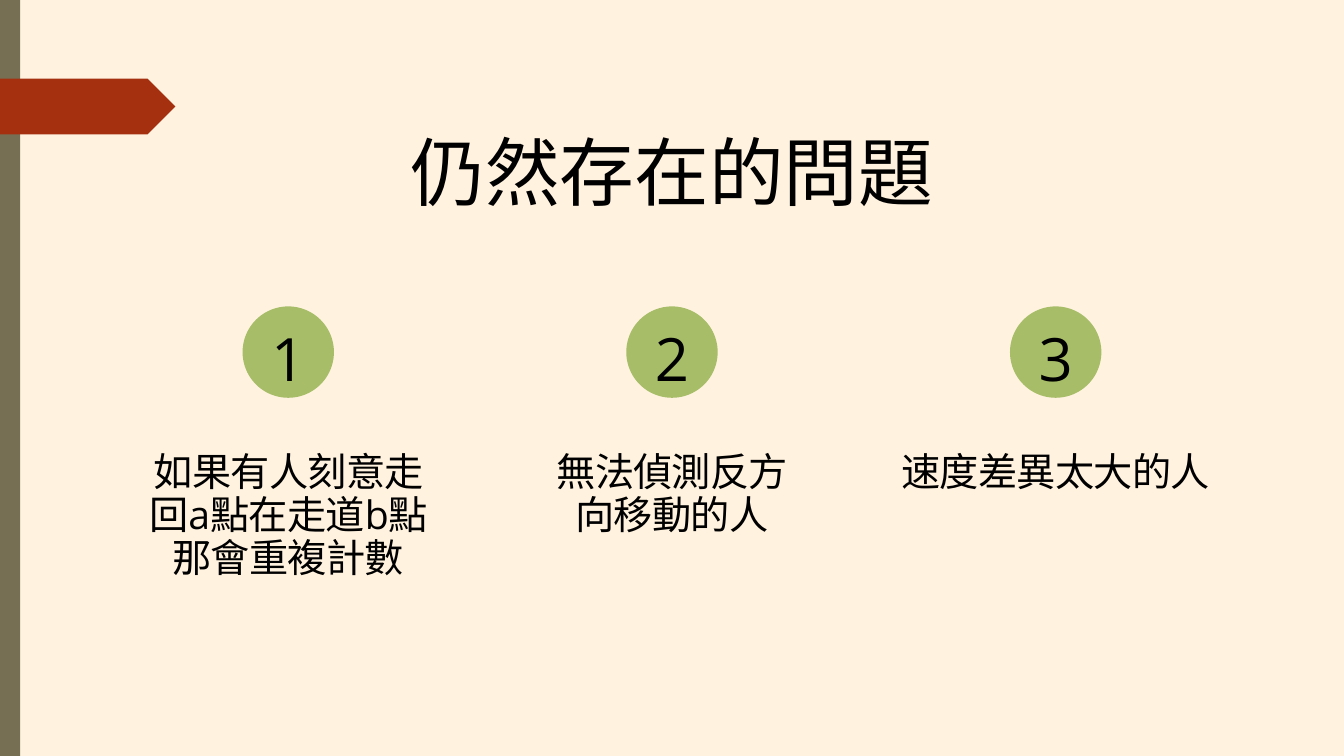
from lxml import etree
from pptx import Presentation
from pptx.dml.color import RGBColor
from pptx.enum.shapes import MSO_SHAPE
from pptx.enum.text import MSO_ANCHOR, MSO_AUTO_SIZE, PP_ALIGN
from pptx.oxml.ns import qn
from pptx.util import Inches, Pt

RECTANGLE, PENTAGON, OVAL = MSO_SHAPE.RECTANGLE, MSO_SHAPE.PENTAGON, MSO_SHAPE.OVAL
TOP, CENTER = MSO_ANCHOR.TOP, PP_ALIGN.CENTER
GROW = MSO_AUTO_SIZE.SHAPE_TO_FIT_TEXT

HEADING = "仍然存在的問題"
PROBLEMS = [
    ("如果有人刻意走回a點在走道b點 那會重複計數", "Open Sans", 4.47, 1.92),
    ("無法偵測反方向移動的人", "Calibri", 4, 1.29),
    ("速度差異太大的人", "Calibri", 4.64, 0.65),
]
DECORATIONS = [
    (RECTANGLE, (0, 0, 0.3, 11.25), "766F54"),
    (PENTAGON, (0, 1.17, 2.61, 0.83), "A53010"),
]
CREAM, GREEN, BLACK = "FFF3E0", "A7BD68", "000000"

SLIDE_WIDTH, SLIDE_HEIGHT = 20, 11.25
COLUMN_PITCH = 5.71
CIRCLE_SIZE, CIRCLE_TOP = 1.36, 4.56
NUMBER_TOP, NUMBER_HEIGHT = 4.46, 1.31
PROBLEM_TOP = 6.71


def paint(color_format, color):
    color_format.rgb = RGBColor.from_string(color)


def place(part, box):
    part.left, part.top, part.width, part.height = map(Inches, box)


def add_filled(slide, preset, box, color):
    figure = slide.shapes.add_shape(preset, *map(Inches, box))
    figure.shadow.inherit = False
    figure.fill.solid()
    paint(figure.fill.fore_color, color)
    figure.line.fill.background()


def write(part, words, font_name, size, leading, tracking=0):
    frame = part.text_frame
    frame.text = words
    frame.word_wrap = True
    frame.auto_size = GROW
    frame.vertical_anchor = TOP
    frame.margin_left = frame.margin_right = frame.margin_top = frame.margin_bottom = 0
    paragraph = frame.paragraphs[0]
    paragraph.alignment = CENTER
    paragraph.line_spacing = Pt(leading)
    paragraph.space_before = Pt(0)
    run = paragraph.runs[0]
    run.font.size = Pt(size)
    run.font.name = font_name
    paint(run.font.color, BLACK)
    properties = run.font._element
    properties.set("spc", str(round(tracking * 100)))
    etree.SubElement(properties, qn("a:ea")).set("typeface", font_name)


def add_text(slide, box, *style):
    write(slide.shapes.add_textbox(*map(Inches, box)), *style)


def main():
    deck = Presentation()
    deck.slide_width, deck.slide_height = Inches(SLIDE_WIDTH), Inches(SLIDE_HEIGHT)
    slide = deck.slides.add_slide(deck.slide_layouts[5])
    slide.background.fill.solid()
    paint(slide.background.fill.fore_color, CREAM)

    for preset, box, color in DECORATIONS:
        add_filled(slide, preset, box, color)

    title = slide.shapes.title
    place(title, (4.06, 1.87, 11.88, 1.33))
    write(title, HEADING, "Calibri", 80, 96)

    for index, (problem, font_name, width, height) in enumerate(PROBLEMS):
        center = SLIDE_WIDTH / 2 + (index - 1) * COLUMN_PITCH
        circle_left = center - CIRCLE_SIZE / 2
        add_filled(slide, OVAL, (circle_left, CIRCLE_TOP, CIRCLE_SIZE, CIRCLE_SIZE), GREEN)
        add_text(slide, (circle_left, NUMBER_TOP, CIRCLE_SIZE, NUMBER_HEIGHT),
                 str(index + 1), "Open Sans", 64, 100.5, -1.6)
        add_text(slide, (center - width / 2, PROBLEM_TOP, width, height),
                 problem, font_name, 42, 46.2, -0.8)

    deck.save("out.pptx")


if __name__ == "__main__":
    main()
